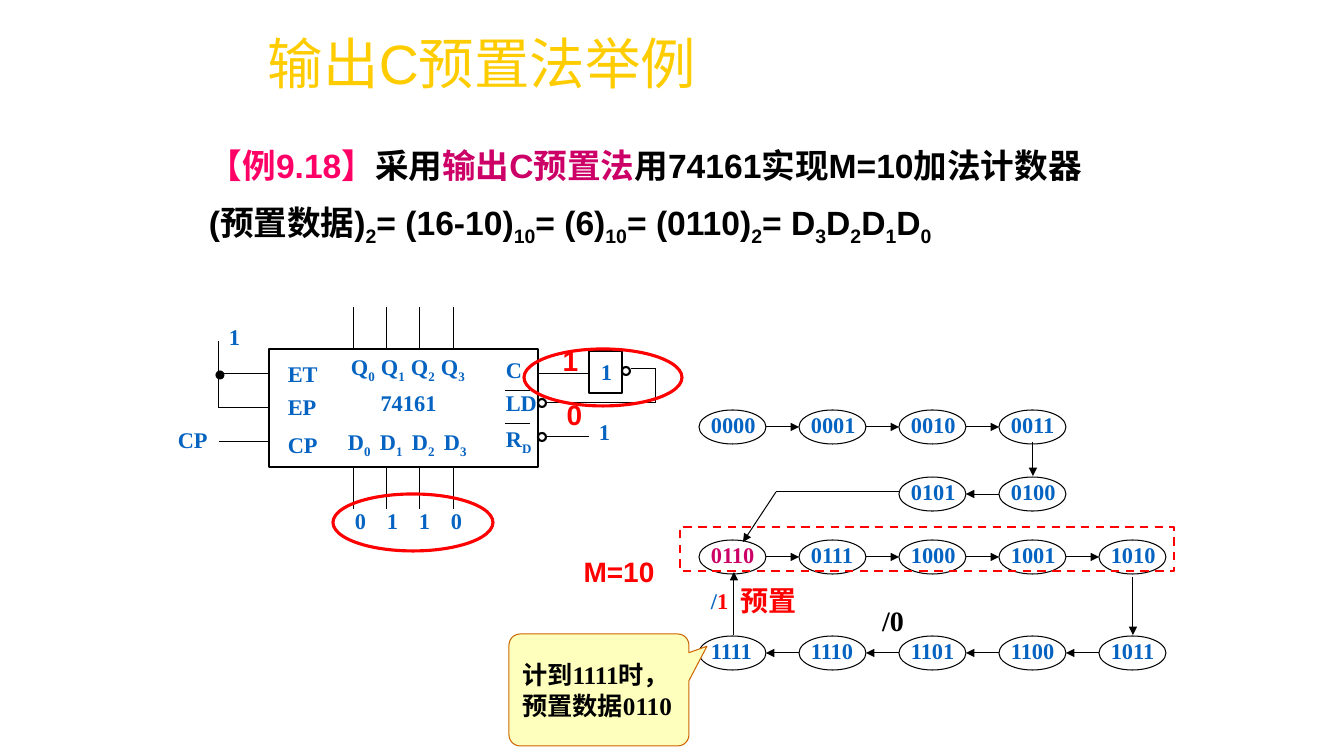
from lxml import etree
from pptx import Presentation
from pptx.dml.color import RGBColor
from pptx.enum.dml import MSO_LINE
from pptx.enum.shapes import MSO_CONNECTOR, MSO_SHAPE
from pptx.enum.text import MSO_ANCHOR, PP_ALIGN
from pptx.oxml.ns import qn
from pptx.util import Emu, Pt

PX = 914400 / 100.8
RECT, OVAL = MSO_SHAPE.RECTANGLE, MSO_SHAPE.OVAL
CALLOUT = MSO_SHAPE.ROUNDED_RECTANGULAR_CALLOUT
STRAIGHT = MSO_CONNECTOR.STRAIGHT
DASH = MSO_LINE.DASH
LEFT, CENTER, JUSTIFY = PP_ALIGN.LEFT, PP_ALIGN.CENTER, PP_ALIGN.JUSTIFY
MIDDLE = MSO_ANCHOR.MIDDLE

COLORS = {
    "title": "FFCC00", "example": "FF0066", "method": "CC0066", "ink": "000000",
    "label": "0563C1", "mark": "FF0000", "note": "FFFFBD", "note_edge": "CC6600",
}
TITLE = {"name": "Arial", "size": Pt(39.6), "bold": False, "color": "title"}
BODY = {"name": "Arial", "size": Pt(24), "bold": True, "color": "ink"}
LABEL = {"name": "Times New Roman", "size": Pt(16), "bold": True, "color": "label"}
MARK = {"name": "Arial", "size": Pt(20), "bold": True, "color": "mark"}
OUTPUT = {**LABEL, "size": Pt(20), "color": "ink"}
NOTE = {**LABEL, "size": Pt(18), "color": "ink"}

NODE_W, NODE_H = 67, 34
COLUMNS = [699 + 100 * i for i in range(5)]
# top of the row, first column, states from left to right, direction of counting
STATE_ROWS = [
    (410, 0, ["0000", "0001", "0010", "0011"], 1),
    (477, 2, ["0101", "0100"], -1),
    (540, 0, ["0110", "0111", "1000", "1001", "1010"], 1),
    (636, 0, ["1111", "1110", "1101", "1100", "1011"], -1),
]


def px(value):
    return Emu(round(value * PX))


def rgb(color):
    return RGBColor.from_string(COLORS[color])


def with_subscripts(*parts):
    """Turn alternating normal and subscript texts into runs."""
    return [(text, {"baseline": "-25000"} if i % 2 else {}) for i, text in enumerate(parts)]


def add_runs(paragraph, runs, style):
    for text, changes in runs:
        run = paragraph.add_run()
        run.text = text
        for name, value in {**style, **changes}.items():
            if name == "color":
                run.font.color.rgb = rgb(value)
            elif name == "baseline":
                run._r.get_or_add_rPr().set(name, value)
            else:
                setattr(run.font, name, value)


def add_text(slide, box, paragraphs, style, align=LEFT, anchor=None, tab=None):
    """Add a text box; a plain string stands for one paragraph of one run."""
    if isinstance(paragraphs, str):
        paragraphs = [[(paragraphs, {})]]
    frame = slide.shapes.add_textbox(*map(px, box)).text_frame
    frame.word_wrap = True
    if anchor is not None:
        frame.vertical_anchor = anchor
    for i, runs in enumerate(paragraphs):
        paragraph = frame.add_paragraph() if i else frame.paragraphs[0]
        if tab:
            stops = etree.SubElement(paragraph._p.get_or_add_pPr(), qn("a:tabLst"))
            for n in (1, 2, 3):
                etree.SubElement(stops, qn("a:tab"), pos=str(px(tab * n)), algn="l")
        paragraph.alignment = align
        paragraph.line_spacing = 0.9
        if i:
            paragraph.space_before = Pt(12)
        add_runs(paragraph, runs, style)


def add_outline(slide, kind, box, color="ink", width=1.5, fill=None, dash=None):
    shape = slide.shapes.add_shape(kind, *map(px, box))
    shape.shadow.inherit = False
    if fill:
        shape.fill.solid()
        shape.fill.fore_color.rgb = rgb(fill)
    else:
        shape.fill.background()
    shape.line.color.rgb = rgb(color)
    shape.line.width = Pt(width)
    if dash:
        shape.line.dash_style = dash
    return shape


def add_wire(slide, x1, y1, x2, y2, arrow=False):
    wire = slide.shapes.add_connector(STRAIGHT, *map(px, (x1, y1, x2, y2)))
    wire.line.color.rgb = rgb("ink")
    wire.line.width = Pt(0.7)
    if arrow:
        etree.SubElement(wire.line._get_or_add_ln(), qn("a:tailEnd"), type="triangle")
    etree.SubElement(wire._element.spPr, qn("a:effectLst"))


def add_counter(slide):
    add_outline(slide, RECT, (269, 349, 269, 118))
    for letter, left, top, pitch in (("Q", 341, 349, 30), ("D", 338, 424, 32)):
        names = with_subscripts(letter, "0", f"\t{letter}", "1", f"\t{letter}", "2",
                                f"\t{letter}", "3")
        add_text(slide, (left, top, 159, 34), [names], LABEL, tab=pitch)
    add_text(slide, (329, 387, 159, 34), "74161", LABEL, CENTER)
    add_text(slide, (345, 505, 160, 34), "0\t1\t1\t0", LABEL, tab=32)

    for text, left, top in (
        ("ET", 278, 358), ("EP", 278, 391), ("CP", 278, 429), ("C", 496, 354),
        ("LD", 496, 387), ("1", 219, 321), ("CP", 168, 424), ("1", 589, 416),
    ):
        add_text(slide, (left, top, 58, 34), text, LABEL)
    add_text(slide, (496, 421, 58, 34), [with_subscripts("R", "D")], LABEL)

    for pin in range(4):
        x = 354 + pin * 100 // 3
        add_wire(slide, x, 307, x, 349)
        add_wire(slide, x, 467, x, 509)
    for y in (374, 408, 442):
        add_wire(slide, 219, y, 269, y)
    for y in (391, 424):
        add_wire(slide, 505, y, 530, y)
    add_wire(slide, 219, 408, 219, 341)
    add_outline(slide, OVAL, (216, 371, 8, 8), width=0.75, fill="ink")


def add_feedback(slide):
    """Draw the inverter from C to LD and the tie of RD."""
    add_wire(slide, 538, 374, 589, 374)
    add_outline(slide, RECT, (589, 351, 33, 42))
    add_text(slide, (591, 356, 33, 34), "1", LABEL)
    for left, top in ((538, 399), (538, 433), (622, 367)):
        add_outline(slide, OVAL, (left, top, 8, 8))
    add_wire(slide, 546, 403, 656, 403)
    add_wire(slide, 656, 403, 656, 369)
    add_wire(slide, 656, 369, 631, 369)
    add_wire(slide, 546, 437, 589, 437)


def add_state_diagram(slide):
    for top, first, states, direction in STATE_ROWS:
        for i, state in enumerate(states):
            left = COLUMNS[first + i]
            style = {**LABEL, "color": "method"} if state == "0110" else LABEL
            add_outline(slide, OVAL, (left, top, NODE_W, NODE_H), width=0.75)
            add_text(slide, (left + 2, top - 1, NODE_W, NODE_H), state, style)
            if i:
                ends = (COLUMNS[first + i - 1] + NODE_W, left)[::direction]
                y = top + NODE_H // 2
                add_wire(slide, ends[0], y, ends[1], y, arrow=True)
    for x, start, end in ((1033, 442, 476), (1133, 577, 635), (734, 635, 572)):
        add_wire(slide, x, start, x, end, arrow=True)
    add_wire(slide, 900, 492, 776, 492)
    add_wire(slide, 776, 492, 743, 542, arrow=True)
    add_text(slide, (701, 585, 50, 34), [[("/", {}), ("1", {"color": "mark"})]], LABEL)
    add_text(slide, (865, 602, 56, 40), "/0", OUTPUT, CENTER)


def add_preset_note(slide):
    note = add_outline(slide, CALLOUT, (509, 634, 180, 112), "note_edge", 0.75, "note")
    for i, value in enumerate((0.6, -0.39, 0.1)):
        note.adjustments[i] = value
    frame = note.text_frame
    frame.word_wrap = True
    frame.vertical_anchor = MIDDLE
    paragraph = frame.paragraphs[0]
    paragraph.alignment = LEFT
    paragraph._p.get_or_add_pPr().set("hangingPunct", "0")
    add_runs(paragraph, [("计到1111时，预置数据0110", {})], NOTE)


def add_highlights(slide):
    for box in ((524, 349, 158, 57), (333, 494, 160, 57)):
        add_outline(slide, OVAL, box, "mark", 2.25)
    add_outline(slide, RECT, (680, 527, 494, 44), "mark", dash=DASH)
    for text, left, top, width in (
        ("预置", 716, 582, 106), ("M=10", 566, 553, 106),
        ("1", 530, 342, 81), ("0", 530, 396, 89),
    ):
        add_text(slide, (left, top, width, 40), text, MARK, CENTER)


def main():
    presentation = Presentation()
    presentation.slide_width, presentation.slide_height = px(1344), px(756)
    slide = presentation.slides.add_slide(presentation.slide_layouts[6])

    add_text(slide, (258, 33, 1008, 67), "输出C预置法举例", TITLE, anchor=MIDDLE)
    example = [
        ("【例9.18】", {"color": "example"}), ("采用", {}),
        ("输出C预置法", {"color": "method"}), ("用74161实现M=10加法计数器", {}),
    ]
    preset = with_subscripts("(预置数据)", "2", "= (16-10)", "10", "= (6)", "10", "= (0110)",
                             "2", "= D", "3", "D", "2", "D", "1", "D", "0")
    add_text(slide, (199, 144, 943, 104), [example, preset], BODY, JUSTIFY)
    add_counter(slide)
    add_feedback(slide)
    add_state_diagram(slide)
    add_preset_note(slide)
    add_highlights(slide)
    presentation.save("out.pptx")


if __name__ == "__main__":
    main()
